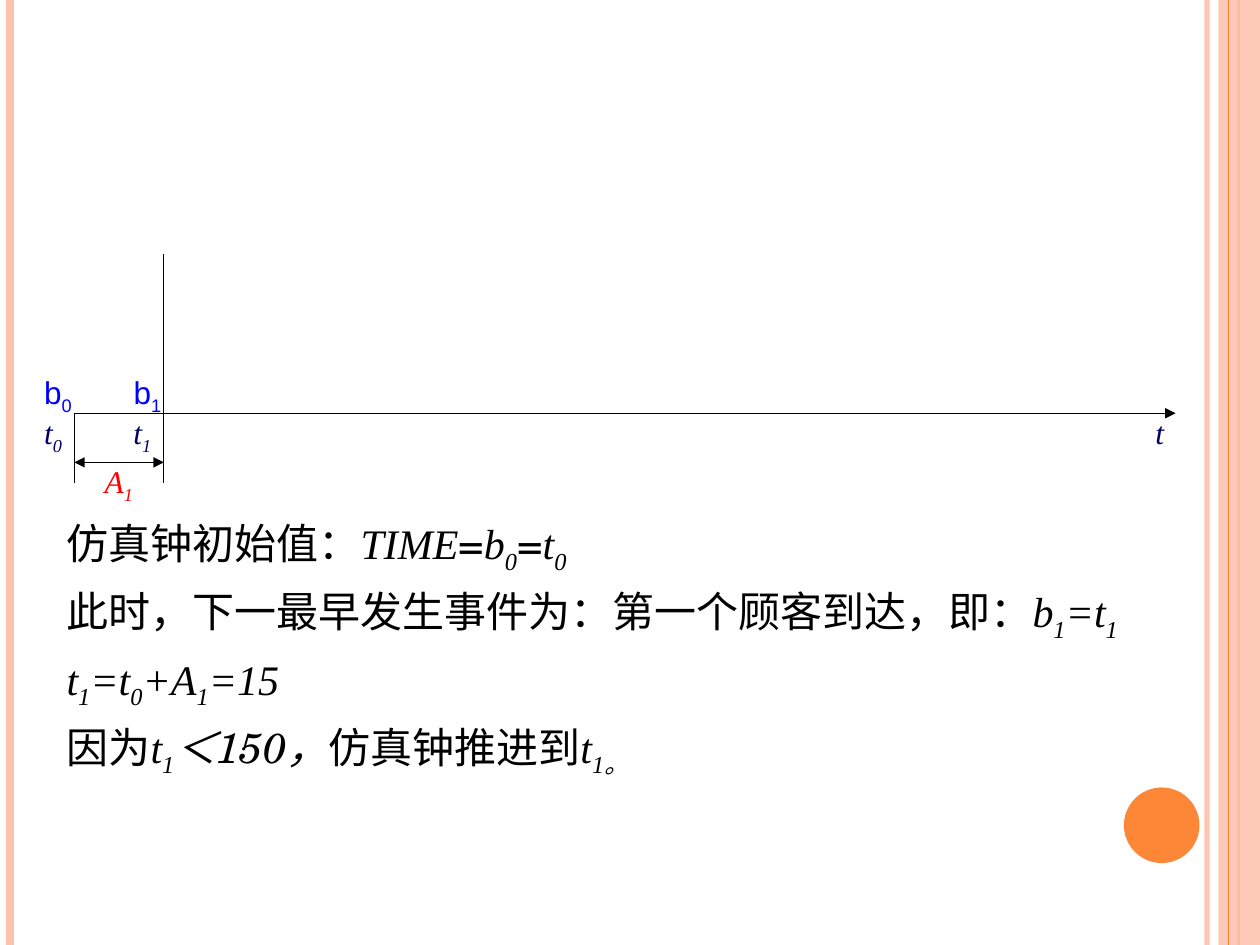
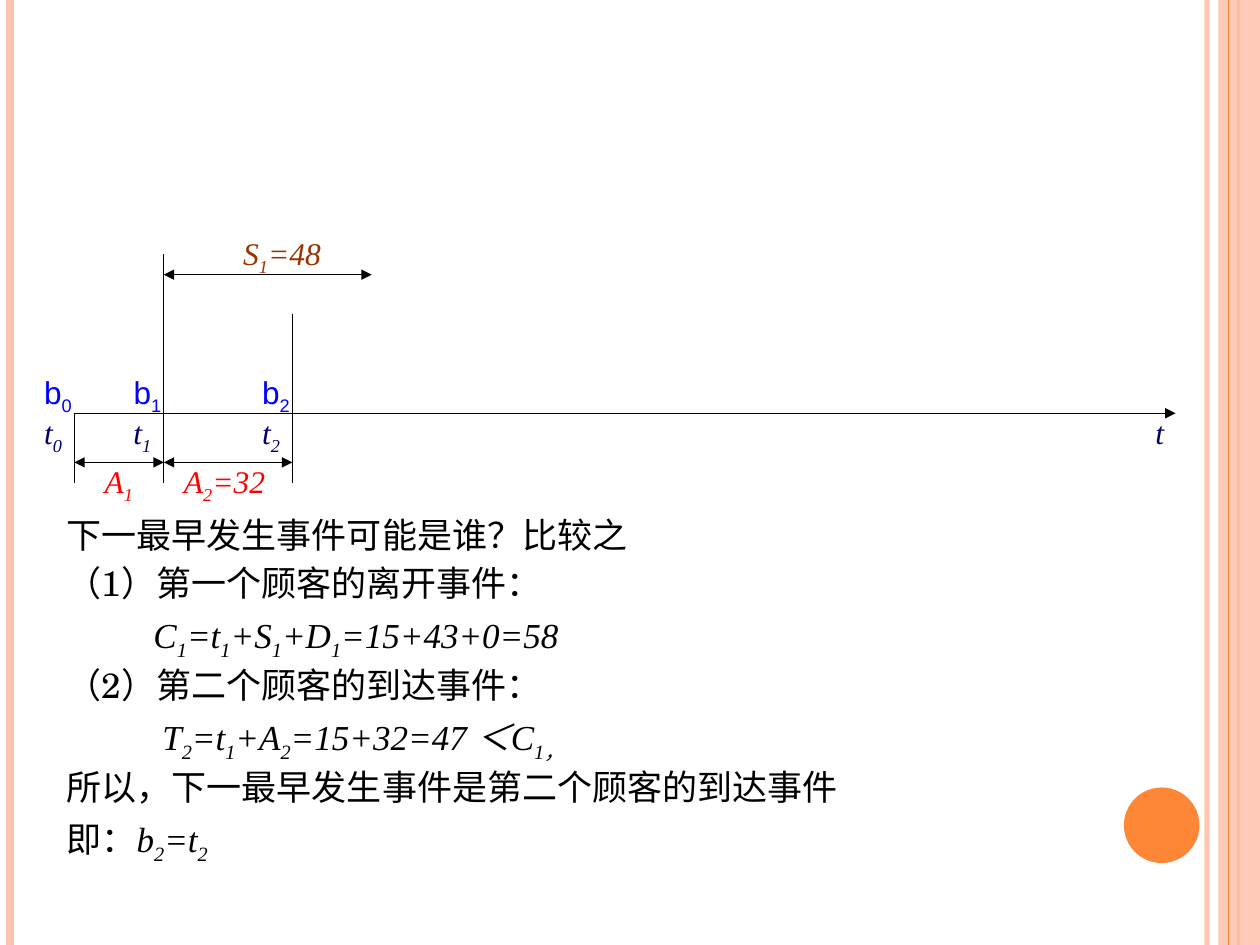
from dataclasses import dataclass
from lxml.etree import SubElement
from pptx import Presentation
from pptx.dml.color import RGBColor
from pptx.enum.shapes import MSO_CONNECTOR, MSO_SHAPE
from pptx.oxml.ns import qn
from pptx.util import Pt


@dataclass(frozen=True)
class Theme:
    peach: str = "FEC3AE"
    orange: str = "FE8637"
    black: str = "000000"
    clock: str = "0000FF"
    time: str = "000066"
    arrival: str = "FF0000"
    service: str = "993300"
    serif: str = "Times New Roman"
    body: str = "TeX Gyre Schola"
    sans: str = "Arial"
    label_size: int = 18


theme = Theme()
PX = 9144


def add_line(s, x1, y1, x2, y2, color=theme.black, width=0.75, ends=(), alpha=None):
    sp = s.shapes.add_connector(MSO_CONNECTOR.STRAIGHT, x1 * PX, y1 * PX, x2 * PX, y2 * PX)
    sp.line.color.rgb = RGBColor.from_string(color)
    sp.line.width = Pt(width)
    ln = sp.line._get_or_add_ln()
    if alpha:
        SubElement(ln.find(".//" + qn("a:srgbClr")), qn("a:alpha"), val=str(alpha * 1000))
    for end in ends:
        SubElement(ln, qn(f"a:{end}"), type="triangle")
    SubElement(sp._element.spPr, qn("a:effectLst"))


def add_text(s, box, paragraphs, size, color=theme.black, inset=0, spacing=None):
    sp = s.shapes.add_textbox(*(v * PX for v in box))
    tf = sp.text_frame
    tf.word_wrap = inset > 0
    tf.margin_left = tf.margin_right = inset * PX
    tf.margin_top = tf.margin_bottom = inset * PX // 2
    for i, (indent, segments) in enumerate(paragraphs):
        p = tf.paragraphs[0] if i == 0 else tf.add_paragraph()
        if i:
            p.space_before = Pt(6)
        if spacing:
            p.line_spacing = spacing
        if indent:
            p._p.get_or_add_pPr().set("marL", str(indent * PX))
        p.font.size = Pt(size)
        p.font.color.rgb = RGBColor.from_string(color)
        same = len(segments) == 1
        for font, italic, text in segments:
            if same:
                p.font.name, p.font.italic = font, italic
            for k, part in enumerate(text.split("_")):
                if not part:
                    continue
                r = p.add_run()
                r.text = part
                if not same:
                    r.font.name, r.font.italic = font, italic
                if k % 2:
                    r._r.get_or_add_rPr().set("baseline", "-25000")


def_serif = theme.serif
initial_clock = [
    (0, [(theme.body, False, "仿真钟初始值："), (def_serif, True, "TIME"),
         (theme.body, False, "="), (def_serif, True, "b_0_"),
         (theme.body, False, "="), (def_serif, True, "t_0_")]),
    (0, [(theme.body, False, "此时，下一最早发生事件为：第一个顾客到达，即："),
         (def_serif, True, "b_1_=t_1_")]),
    (0, [(def_serif, True, "t_1_=t_0_+A_1_=15")]),
    (0, [(def_serif, False, "因为"), (def_serif, True, "t_1_"),
         (theme.body, True, "＜150，"), (theme.body, False, "仿真钟推进到"),
         (def_serif, True, "t_1。_")]),
]
next_event = [
    (0, [(theme.body, False, "下一最早发生事件可能是谁？比较之")]),
    (0, [(theme.body, False, "（1）第一个顾客的离开事件：")]),
    (69, [(def_serif, True, "C_1_=t_1_+S_1_+D_1_=15+43+0=58")]),
    (0, [(theme.body, False, "（2）第二个顾客的到达事件：")]),
    (76, [(def_serif, True, "T_2_=t_1_+A_2_=15+32=47 ＜C_1，_")]),
    (0, [(def_serif, False, "所以，下一最早发生事件是"),
         (theme.body, False, "第二个顾客的到达事件")]),
    (0, [(def_serif, False, "即："), (def_serif, True, "b_2_=t_2_")]),
]

AXIS, SPAN, TICK_END = 328, 367, 383
TICKS = [(59, AXIS), (130, 202), (232, 249)]
ARRIVALS = [("A_1_", 83, 24), ("A_2_=32", 146, 71)]
SLIDES = [
    (initial_clock, 259, 24, None, 2, False),
    (next_event, 291, 20, 0.9, 3, True),
]

prs = Presentation()
prs.slide_width, prs.slide_height = 1000 * PX, 750 * PX

for body, height, size, spacing, events, served in SLIDES:
    s = prs.slides.add_slide(prs.slide_layouts[6])

    for x, color, width, alpha in [(958, theme.peach, 3, 93), (8, theme.peach, 4.5, None),
                                   (983, theme.orange, 1.5, None)]:
        add_line(s, x, 0, x, 750, color, width, alpha=alpha)
    for kind, box, color, alpha in [
        (MSO_SHAPE.RECTANGLE, (967, 0, 33, 750), theme.peach, 87),
        (MSO_SHAPE.OVAL, (892, 625, 60, 60), theme.orange, 100),
    ]:
        sp = s.shapes.add_shape(kind, *(v * PX for v in box))
        sp.shadow.inherit = False
        sp.fill.solid()
        sp.fill.fore_color.rgb = RGBColor.from_string(color)
        sp.line.fill.background()
        clr = sp._element.spPr.find(".//" + qn("a:srgbClr"))
        SubElement(clr, qn("a:alpha"), val=str(alpha * 1000))
    add_line(s, 975, 0, 975, 750, theme.orange)

    add_text(s, (43, 406, 900, height), body, size, inset=10, spacing=spacing)

    add_line(s, 59, AXIS, 933, AXIS, ends=["tailEnd"])
    add_text(s, (917, AXIS, 24, 30), [(0, [(theme.serif, True, "t")])],
             theme.label_size, theme.time)
    for i, (x, top) in enumerate(TICKS[:events]):
        add_line(s, x, top, x, TICK_END)
        add_text(s, (x - 24, 296, 31, 34), [(0, [(theme.sans, False, f"b_{i}_")])],
                 theme.label_size, theme.clock)
        add_text(s, (x - 24, AXIS, 24, 34), [(0, [(theme.serif, True, f"t_{i}_")])],
                 theme.label_size, theme.time)

    spans = [(TICKS[i][0], TICKS[i + 1][0], SPAN, label, (x, SPAN, w, 34), theme.arrival)
             for i, (label, x, w) in enumerate(ARRIVALS[:events - 1])]
    if served:
        spans.append((130, 295, 218, "S_1_=48", (193, 186, 71, 34), theme.service))
    for x1, x2, y, label, box, color in spans:
        add_line(s, x1, y, x2, y, ends=["headEnd", "tailEnd"])
        add_text(s, box, [(0, [(theme.serif, True, label)])], theme.label_size, color)

prs.save("out.pptx")
